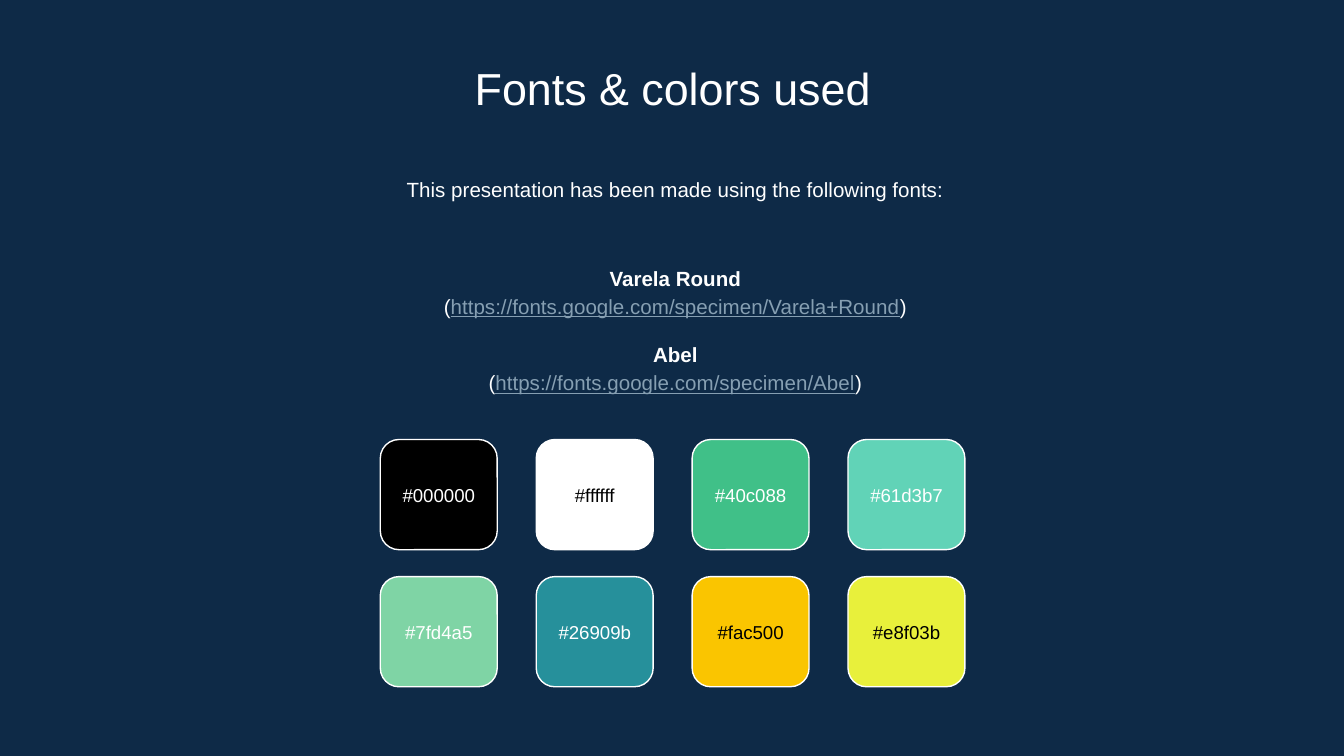
from lxml.etree import SubElement
from pptx import Presentation
from pptx.dml.color import RGBColor
from pptx.enum.shapes import MSO_SHAPE
from pptx.enum.text import MSO_ANCHOR, MSO_AUTO_SIZE, PP_ALIGN
from pptx.oxml.ns import qn
from pptx.util import Inches, Pt

THEME = {
    "font": "Arial",
    "background": "0E2A47",
    "text": "FFFFFF",
    "dark_text": "000000",
    "address": "869FB2",
    "title_size": 24,
    "body_size": 11,
    "label_size": 10,
}
FRAME = {
    "word_wrap": True,
    "auto_size": MSO_AUTO_SIZE.NONE,
    "margin_left": Inches(0.1),
    "margin_right": Inches(0.1),
    "margin_top": Inches(0.1),
    "margin_bottom": Inches(0.1),
}


def set_values(target, values):
    for name, value in values.items():
        setattr(target, name, value)


def write_line(paragraph, runs, size, line_spacing=1.0, space_before=0):
    properties = paragraph._p.get_or_add_pPr()
    set_values(paragraph, {"alignment": PP_ALIGN.CENTER, "line_spacing": line_spacing,
                           "space_before": Pt(space_before)})
    properties.set("marL", "0")
    properties.set("indent", "0")
    SubElement(properties, qn("a:buNone"))
    for text, color, style in runs:
        run = paragraph.add_run()
        run.text = text
        set_values(run.font, {"name": THEME["font"], "size": Pt(size), "bold": False, **style})
        run.font.color.rgb = RGBColor.from_string(THEME[color])


presentation = Presentation()
slide_width = Inches(10)
set_values(presentation, {"slide_width": slide_width, "slide_height": slide_width * 9 // 16})
slide = presentation.slides.add_slide(presentation.slide_layouts[3])
slide.background.fill.solid()
slide.background.fill.fore_color.rgb = RGBColor.from_string(THEME["background"])

title, intro, fonts = slide.placeholders
places = [
    (title, 1.15, 0.35, 0.53, MSO_ANCHOR.TOP),
    (intro, 1.17, 1.19, 0.48, MSO_ANCHOR.TOP),
    (fonts, 1.17, 1.76, 1.37, MSO_ANCHOR.MIDDLE),
]
for shape, left, top, height, anchor in places:
    set_values(shape, {"left": Inches(left), "top": Inches(top),
                       "width": Inches(7.71), "height": Inches(height)})
    set_values(shape.text_frame, {**FRAME, "vertical_anchor": anchor})

write_line(title.text_frame.paragraphs[0], [("Fonts & colors used", "text", {})],
           THEME["title_size"])
write_line(intro.text_frame.paragraphs[0],
           [("This presentation has been made using the following fonts:", "text", {})],
           THEME["body_size"], 1.15)

font_sources = [
    ("Varela Round", "https://fonts.google.com/specimen/Varela+Round"),
    ("Abel", "https://fonts.google.com/specimen/Abel"),
]
for index, (name, address) in enumerate(font_sources):
    frame = fonts.text_frame
    heading = frame.add_paragraph() if index else frame.paragraphs[0]
    write_line(heading, [(name, "text", {"bold": True})], THEME["body_size"], 1.15, 10.5 * index)
    write_line(frame.add_paragraph(),
               [("(", "text", {}), (address, "address", {"underline": True}), (")", "text", {})],
               THEME["body_size"], 1.15)

GRID = {"left": 2.83, "top": 3.27, "column": 1.16, "row": 1.02,
        "width": 0.87, "height": 0.82, "label_height": 0.48}
swatches = [
    ["#000000", "#ffffff", "#40c088", "#61d3b7"],
    ["#7fd4a5", "#26909b", "#fac500", "#e8f03b"],
]
dark_labels = {"#ffffff", "#fac500", "#e8f03b"}
for row, codes in enumerate(swatches):
    for column, code in enumerate(codes):
        left = Inches(GRID["left"] + column * GRID["column"])
        top = Inches(GRID["top"] + row * GRID["row"])
        width, height = Inches(GRID["width"]), Inches(GRID["height"])
        swatch = slide.shapes.add_shape(MSO_SHAPE.ROUNDED_RECTANGLE, left, top, width, height)
        swatch.shadow.inherit = False
        swatch.adjustments[0] = 0.17
        swatch.fill.solid()
        swatch.fill.fore_color.rgb = RGBColor.from_string(code[1:].upper())
        swatch.line.color.rgb = RGBColor.from_string(THEME["text"])
        swatch.line.width = Pt(0.75)

        label_height = Inches(GRID["label_height"])
        label = slide.shapes.add_textbox(left, top + (height - label_height) // 2,
                                         width, label_height)
        set_values(label.text_frame, {**FRAME, "vertical_anchor": MSO_ANCHOR.MIDDLE})
        label_color = "dark_text" if code in dark_labels else "text"
        write_line(label.text_frame.paragraphs[0], [(code, label_color, {})],
                   THEME["label_size"])

presentation.save("out.pptx")
